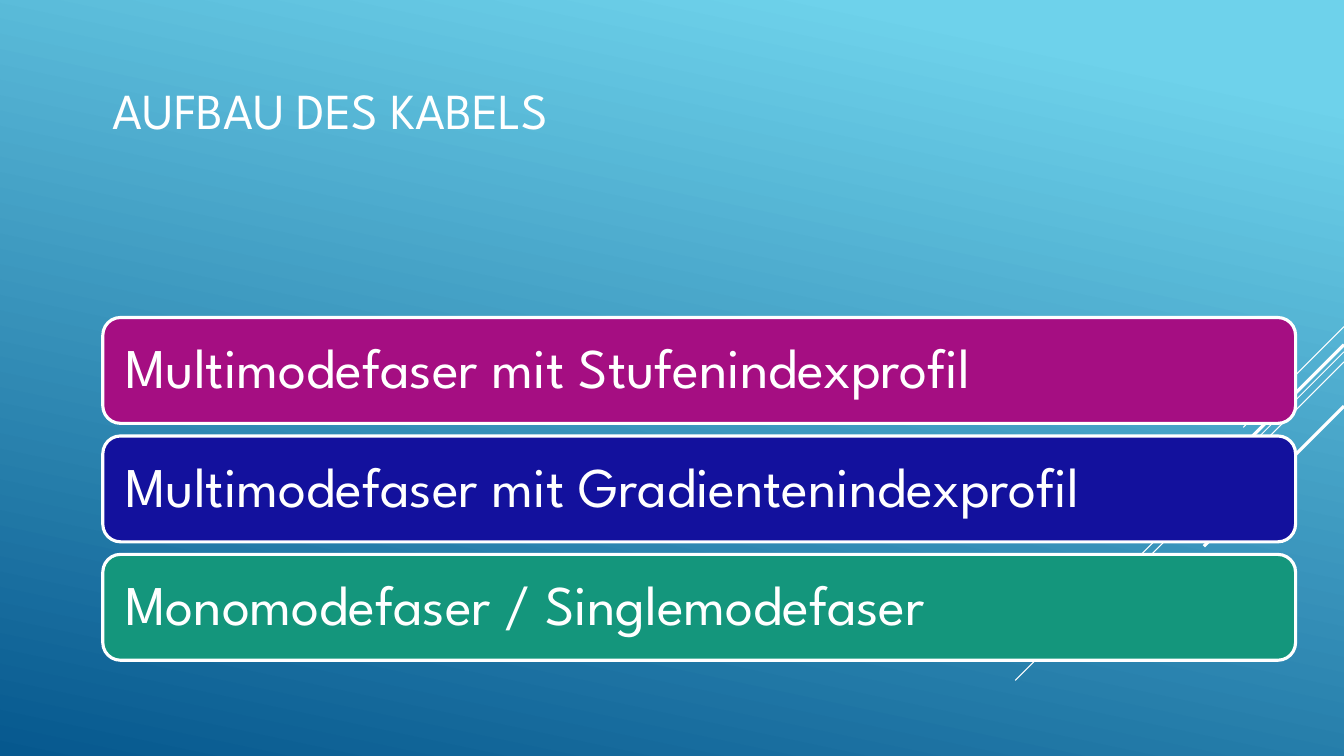
from lxml import etree
from pptx import Presentation
from pptx.dml.color import RGBColor
from pptx.enum import shapes, text
from pptx.oxml import ns
from pptx.util import Inches, Pt

COLORS = {
    "white": "FFFFFF",
    "sky": "6ED2EB",
    "deep": "06588E",
    "magenta": "A50E82",
    "blue": "13119D",
    "green": "14967C",
}
FONT = "League Spartan"
SLIDE_W, SLIDE_H = 13.33, 7.5
BAR_LEFT, BAR_TOP, BAR_W, BAR_H, BAR_STEP = 1.02, 3.15, 11.83, 1.05, 1.175

FIBRES = [
    ("Multimodefaser mit Stufenindexprofil", "magenta"),
    ("Multimodefaser mit Gradientenindexprofil", "blue"),
    ("Monomodefaser / Singlemodefaser", "green"),
]
# Height at the right edge, horizontal reach, line width
RAYS = [
    (3.24, 1.0, 0.75),
    (3.49, 3.26, 0.75),
    (3.59, 2.07, 0.75),
    (3.42, 1.91, 2.25),
    (4.03, 1.39, 2.25),
]


def rgb(name):
    return RGBColor.from_string(COLORS[name])


def set_text(sp, words, size, color="white", inset=0.1, spacing=1.0):
    tf = sp.text_frame
    tf.word_wrap = True
    tf.auto_size = text.MSO_AUTO_SIZE.NONE
    tf.vertical_anchor = text.MSO_ANCHOR.MIDDLE
    tf.margin_left = tf.margin_right = Inches(inset)
    p = tf.paragraphs[0]
    p.alignment = text.PP_ALIGN.LEFT
    p.line_spacing = spacing
    r = p.add_run()
    r.text = words
    r.font.name = FONT
    r.font.size = Pt(size)
    r.font.color.rgb = rgb(color)


def set_background(s):
    fill = s.background.fill
    fill.gradient()
    fill.gradient_angle = 258
    stops = [(0.1, "sky"), (1.0, "deep")]
    for stop, (position, color) in zip(fill.gradient_stops, stops):
        stop.position = position
        stop.color.rgb = rgb(color)


def add_ray(s, top, reach, width):
    """Draw a 45° line down and left from the right edge of the slide."""
    ray = s.shapes.add_connector(
        shapes.MSO_CONNECTOR.STRAIGHT,
        Inches(SLIDE_W), Inches(top),
        Inches(SLIDE_W - reach), Inches(top + reach))
    ray.line.color.rgb = rgb("white")
    ray.line.width = Pt(width)
    etree.SubElement(ray._element.spPr, ns.qn("a:effectLst"))


def add_title(s, words):
    title = s.shapes.title
    title.left, title.top = Inches(1.02), Inches(0.33)
    title.width, title.height = Inches(6.34), Inches(1.51)
    set_text(title, words, 36)


def add_bar(s, top, words, color):
    bar = s.shapes.add_shape(
        shapes.MSO_SHAPE.ROUNDED_RECTANGLE,
        Inches(BAR_LEFT), Inches(top), Inches(BAR_W), Inches(BAR_H))
    bar.shadow.inherit = False
    bar.fill.solid()
    bar.fill.fore_color.rgb = rgb(color)
    bar.line.color.rgb = rgb("white")
    bar.line.width = Pt(2.25)
    set_text(bar, words, 40, inset=0.17, spacing=0.9)


def main():
    prs = Presentation()
    prs.slide_width, prs.slide_height = Inches(SLIDE_W), Inches(SLIDE_H)
    s = prs.slides.add_slide(prs.slide_layouts.get_by_name("Title Only"))
    set_background(s)
    for ray in RAYS:
        add_ray(s, *ray)
    add_title(s, "AUFBAU DES KABELS")
    for i, (words, color) in enumerate(FIBRES):
        add_bar(s, BAR_TOP + i * BAR_STEP, words, color)
    prs.save("out.pptx")


if __name__ == "__main__":
    main()
